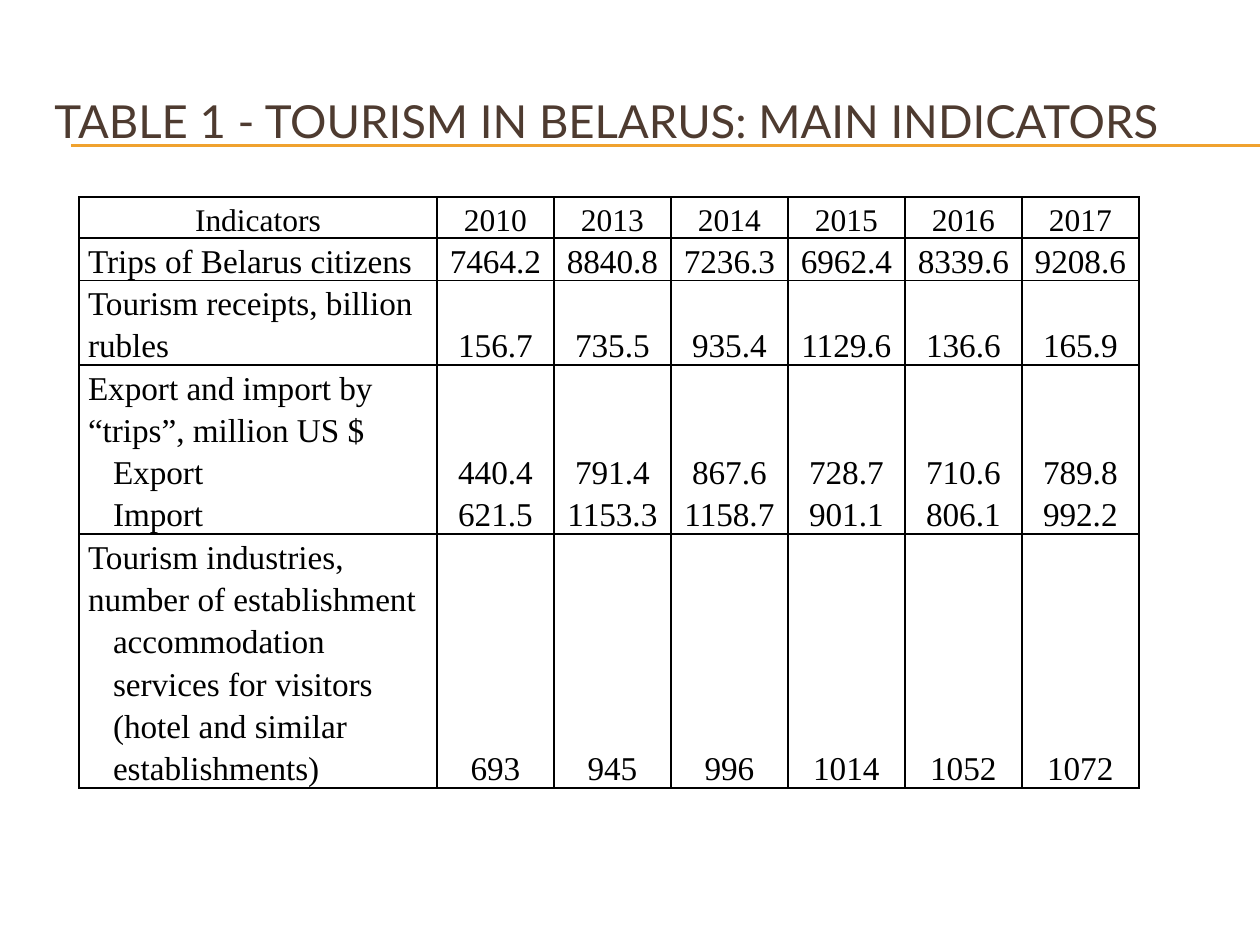
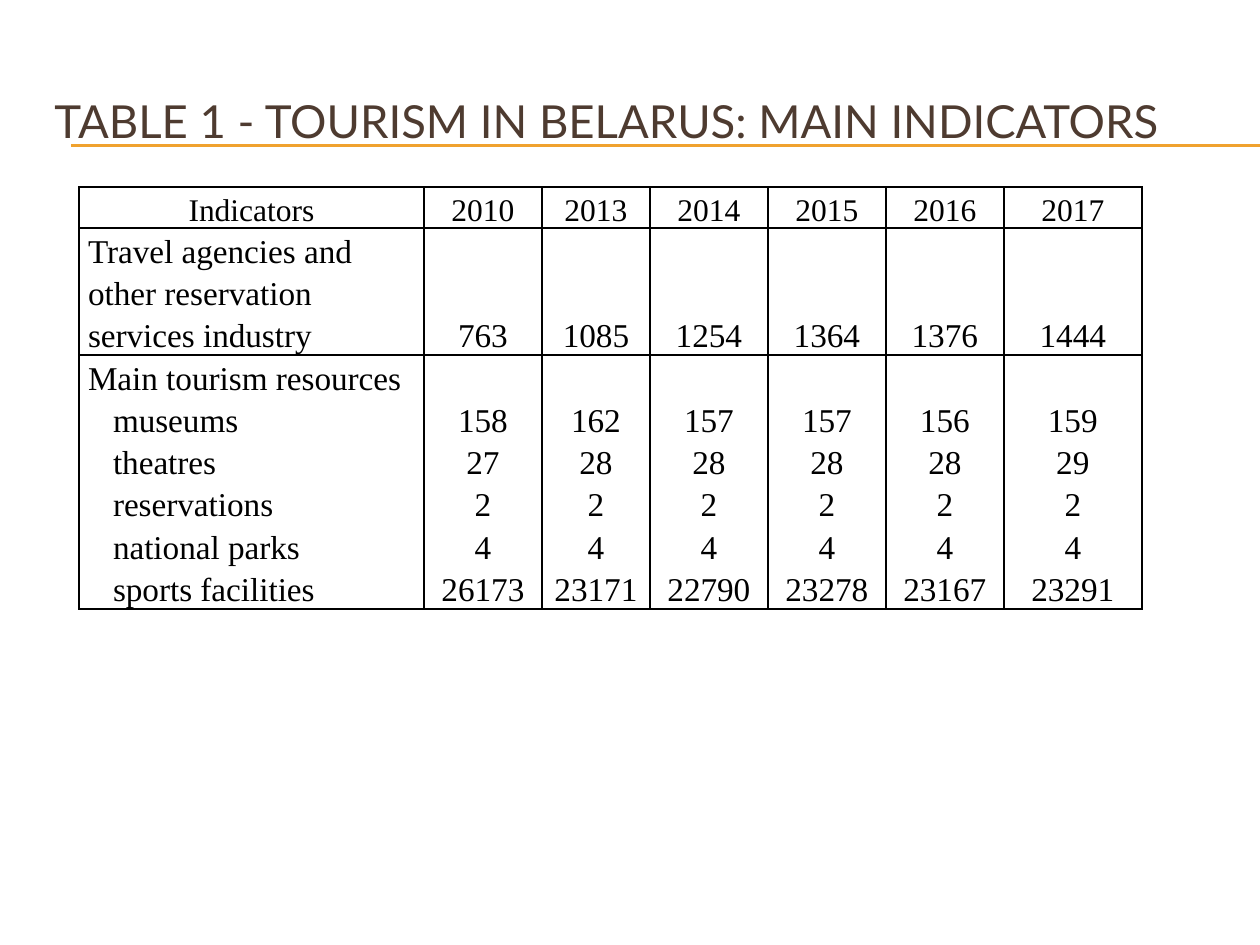
import pptx
import pptx.dml.color
import pptx.enum.shapes
import pptx.enum.text
import pptx.oxml.ns
import pptx.util
from lxml import etree

BROWN = pptx.dml.color.RGBColor(0x4E, 0x3B, 0x30)
GOLD = pptx.dml.color.RGBColor(0xF0, 0xA2, 0x2E)
BLACK = pptx.dml.color.RGBColor(0, 0, 0)

TITLE = "TABLE 1 - TOURISM IN BELARUS: MAIN INDICATORS"
HEAD = ("Indicators", "2010 2013 2014 2015 2016 2017")
HEAD_LINE = pptx.util.Pt(23.4)
BODY_LINE = pptx.util.Pt(24.15)
LEFT = 79
INDENT = 25

# Each row: label, figures by year, lines of text, whether it is a sub-item
TRIPS = [
    ("Trips of Belarus citizens",
     "7464.2 8840.8 7236.3 6962.4 8339.6 9208.6", 1, False),
    ("Tourism receipts, billion rubles",
     "156.7 735.5 935.4 1129.6 136.6 165.9", 2, False),
    ("Export and import by “trips”, million US $", "", 2, False),
    ("Export", "440.4 791.4 867.6 728.7 710.6 789.8", 1, True),
    ("Import", "621.5 1153.3 1158.7 901.1 806.1 992.2", 1, True),
    ("Tourism industries, number of establishment", "", 2, False),
    ("accommodation services for visitors (hotel and similar establishments)",
     "693 945 996 1014 1052 1072", 4, True),
]
PLACES = [
    ("Travel agencies and other reservation services industry",
     "763 1085 1254 1364 1376 1444", 3, False),
    ("Main tourism resources", "", 1, False),
    ("museums", "158 162 157 157 156 159", 1, True),
    ("theatres", "27 28 28 28 28 29", 1, True),
    ("reservations", "2 2 2 2 2 2", 1, True),
    ("national parks", "4 4 4 4 4 4", 1, True),
    ("sports facilities", "26173 23171 22790 23278 23167 23291", 1, True),
]


def px(count):
    return pptx.util.Emu(round(count * 914400 / 126))


def style(para, face, size, color):
    para.font.name = face
    para.font.size = pptx.util.Pt(size)
    para.font.color.rgb = color


def add_rule(slide, top):
    rule = slide.shapes.add_connector(
        pptx.enum.shapes.MSO_CONNECTOR.STRAIGHT, px(71), px(top), px(1260), px(top))
    rule.line.color.rgb = GOLD
    rule.line.width = pptx.util.Pt(0.75)
    etree.SubElement(rule._element.spPr, pptx.oxml.ns.qn("a:effectLst"))


def add_title(slide):
    box = slide.shapes.add_textbox(px(42), px(62), px(1197), px(116))
    frame = box.text_frame
    frame.word_wrap = True
    frame.vertical_anchor = pptx.enum.text.MSO_ANCHOR.MIDDLE
    frame.text = TITLE
    style(frame.paragraphs[0], "Lato", 26, BROWN)


def set_edges(cell, top, bottom):
    """Draw the side borders, and the top and bottom ones where asked."""
    qn = pptx.oxml.ns.qn
    props = cell._tc.get_or_add_tcPr()
    for side, shown in (("L", True), ("R", True), ("T", top), ("B", bottom)):
        edge = etree.SubElement(props, qn(f"a:ln{side}"), w="12700")
        if shown:
            fill = etree.SubElement(edge, qn("a:solidFill"))
            etree.SubElement(fill, qn("a:srgbClr"), val=str(BLACK))
        else:
            etree.SubElement(edge, qn("a:noFill"))


def fill_cell(cell, text, size, pitch, inset, anchor, center, indent):
    cell.fill.background()
    cell.margin_left = cell.margin_right = px(inset)
    cell.margin_top = cell.margin_bottom = 0
    cell.vertical_anchor = anchor
    cell.text = text
    para = cell.text_frame.paragraphs[0]
    if indent:
        para._p.get_or_add_pPr().set("marL", str(px(INDENT)))
    if center:
        para.alignment = pptx.enum.text.PP_ALIGN.CENTER
    para.line_spacing = pitch
    style(para, "Times New Roman", size, BLACK)


def add_grid(slide, top, widths, body):
    anchors = pptx.enum.text.MSO_ANCHOR
    rows = [(*HEAD, 1, False)] + body
    highs = [HEAD_LINE] + [BODY_LINE * lines for _, _, lines, _ in body]
    grid = slide.shapes.add_table(
        len(rows), len(widths), px(LEFT), px(top), px(sum(widths)), sum(highs)).table
    grid.first_row = grid.horz_banding = False
    for col, width in zip(grid.columns, widths):
        col.width = px(width)
    for r, (label, figures, _, sub) in enumerate(rows):
        grid.rows[r].height = highs[r]
        closed = r + 1 == len(rows) or not rows[r + 1][3]
        texts = [label] + (figures.split() or [""] * (len(widths) - 1))
        for c, text in enumerate(texts):
            cell = grid.cell(r, c)
            set_edges(cell, not sub, closed)
            if r == 0:
                fill_cell(cell, text, 18, HEAD_LINE, 6, anchors.MIDDLE, True, False)
            elif c == 0:
                fill_cell(cell, text, 19, BODY_LINE, 9, anchors.TOP, False, sub)
            else:
                fill_cell(cell, text, 19, BODY_LINE, 9, anchors.BOTTOM, True, False)


def add_page(deck, top, widths, body):
    slide = deck.slides.add_slide(deck.slide_layouts[6])
    for level in (145, 146):
        add_rule(slide, level)
    add_title(slide)
    add_grid(slide, top, widths, body)


def main():
    deck = pptx.Presentation()
    deck.slide_width, deck.slide_height = px(1260), px(945)
    add_page(deck, 197, [358] + [117] * 6, TRIPS)
    add_page(deck, 187, [345, 118, 108, 118, 118, 118, 138], PLACES)
    deck.save("out.pptx")


if __name__ == "__main__":
    main()
